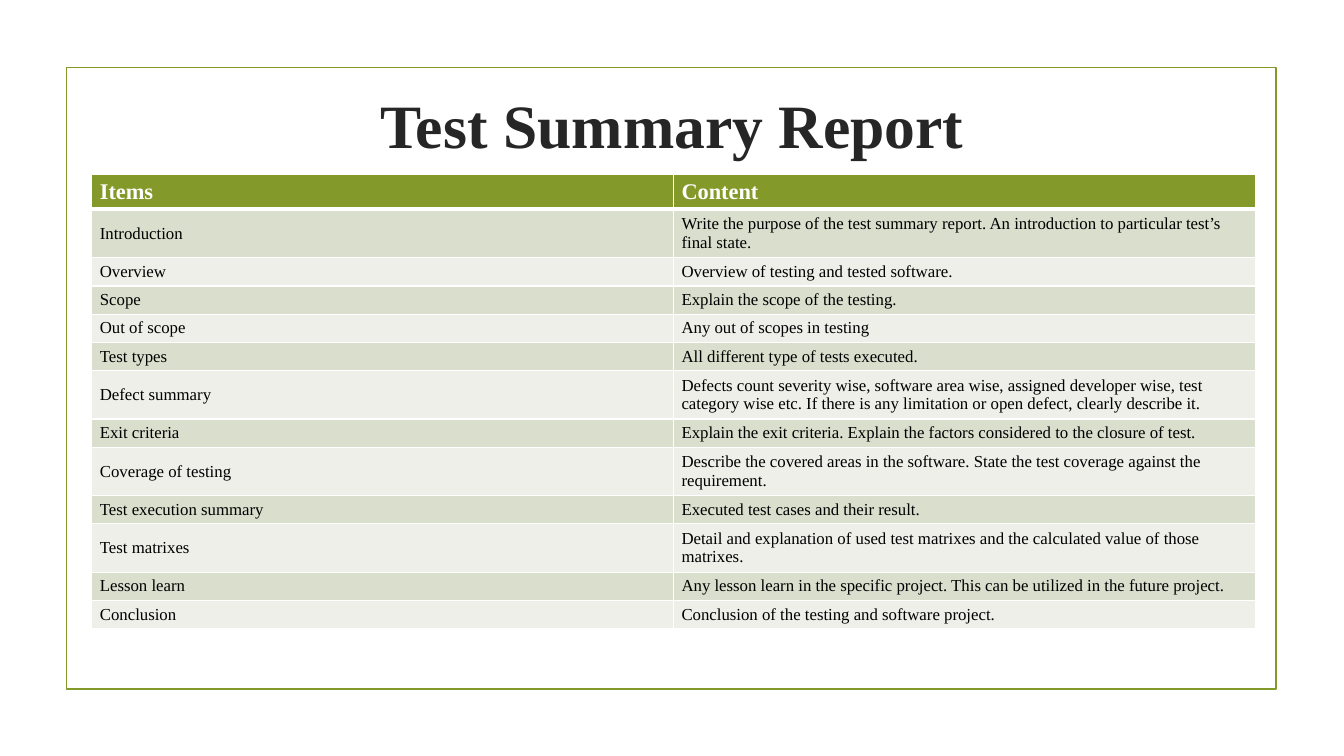
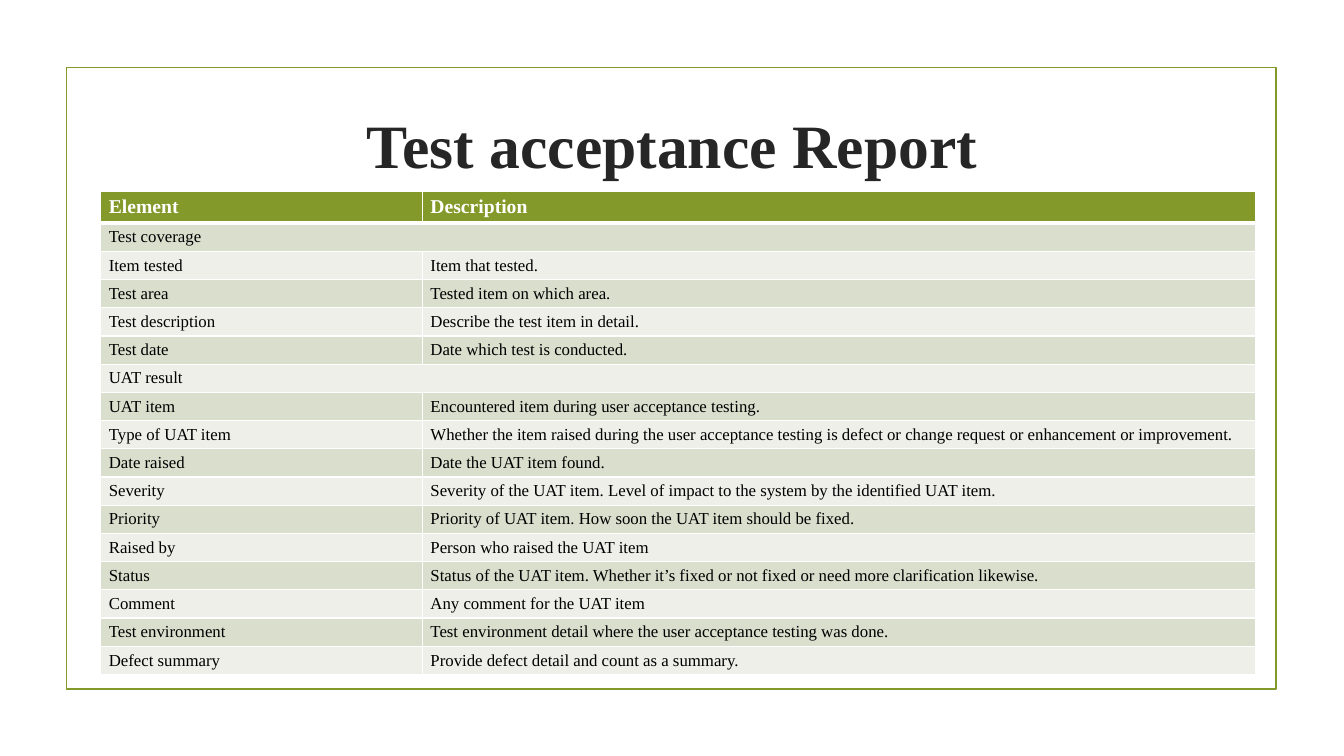
import pptx
import pptx.dml.color
import pptx.enum.shapes
import pptx.enum.text
import pptx.oxml
import pptx.oxml.ns
import pptx.util

HUES = {
    "green": "83992A",
    "ink": "262626",
    "black": "000000",
    "white": "FFFFFF",
    "dark": "D9DECD",
    "pale": "EDEFE8",
}


def hue(name):
    return pptx.dml.color.RGBColor.from_string(HUES[name])


class Deck:
    """Style and current slide; lengths are percents of the slide size."""
    font = "Times New Roman"
    row = 3.6

    def __init__(self):
        self.prs = pptx.Presentation()
        self.prs.slide_width = pptx.util.Inches(13.33)
        self.prs.slide_height = pptx.util.Inches(7.5)

    def across(self, share):
        return round(self.prs.slide_width * share / 100)

    def down(self, share):
        return round(self.prs.slide_height * share / 100)

    def place(self, left, top, width, height):
        return (self.across(left), self.down(top),
                self.across(width), self.down(height))

    def page(self):
        self.slide = self.prs.slides.add_slide(self.prs.slide_layouts[6])
        self.frame()

    def frame(self):
        box = self.slide.shapes.add_shape(
            pptx.enum.shapes.MSO_SHAPE.RECTANGLE,
            *self.place(4.95, 8.93, 90, 82.27))
        box.shadow.inherit = False
        box.fill.background()
        box.line.color.rgb = hue("green")
        box.line.width = pptx.util.Pt(1.25)

    def label(self, holder, text, size, color, bold):
        para = holder.text_frame.paragraphs[0]
        para.text = text
        for run in para.runs:
            run.font.name = self.font
            run.font.size = pptx.util.Pt(size)
            run.font.bold = bold
            run.font.color.rgb = hue(color)
        return para

    def title(self, text, top):
        box = self.slide.shapes.add_textbox(
            *self.place(10.65, top, 78.75, 19.07))
        box.text_frame.word_wrap = True
        box.text_frame.vertical_anchor = pptx.enum.text.MSO_ANCHOR.MIDDLE
        para = self.label(box, text, 44, "ink", True)
        para.alignment = pptx.enum.text.PP_ALIGN.CENTER

    def edges(self, cell, above, below):
        props = cell._tc.get_or_add_tcPr()
        for side, width in zip("LRTB", (1, 1, above, below)):
            props.append(pptx.oxml.parse_xml(
                f'<a:ln{side} {pptx.oxml.ns.nsdecls("a")} '
                f'w="{pptx.util.Pt(width)}"><a:solidFill>'
                f'<a:srgbClr val="{HUES["white"]}"/>'
                f'</a:solidFill></a:ln{side}>'))

    def cell(self, cell, text, line, size):
        head = line == 0
        self.edges(cell, 3 if line == 1 else 1, 3 if head else 1)
        cell.fill.solid()
        cell.fill.fore_color.rgb = hue(
            "green" if head else "dark" if line % 2 else "pale")
        cell.margin_left = cell.margin_right = pptx.util.Inches(0.08)
        cell.margin_top = cell.margin_bottom = pptx.util.Inches(0.04)
        cell.vertical_anchor = pptx.enum.text.MSO_ANCHOR.MIDDLE
        self.label(cell, text, size if head else 12,
                   "white" if head else "black", head)

    def table(self, left, top, widths, rows, size, head):
        """Rows with one text span the full width; long rows grow."""
        high = head + self.row * (len(rows) - 1)
        grid = self.slide.shapes.add_table(
            len(rows), len(widths),
            *self.place(left, top, sum(widths), high)).table
        grid.horz_banding = False
        for col, width in zip(grid.columns, widths):
            col.width = self.across(width)
        for line, texts in enumerate(rows):
            grid.rows[line].height = self.down(self.row if line else head)
            for col, text in enumerate(texts):
                self.cell(grid.cell(line, col), text, line, size)
            if len(texts) < len(widths):
                last = grid.cell(line, len(widths) - 1)
                grid.cell(line, 0).merge(last)


deck = Deck()

# Test summary
SUMS = [
    ("Items", "Content"),
    ("Introduction", "Write the purpose of the test summary report. "
     "An introduction to particular test’s final state."),
    ("Overview", "Overview of testing and tested software."),
    ("Scope", "Explain the scope of the testing."),
    ("Out of scope", "Any out of scopes in testing"),
    ("Test types", "All different type of tests executed."),
    ("Defect summary", "Defects count severity wise, software area wise, "
     "assigned developer wise, test category wise etc. If there is any "
     "limitation or open defect, clearly describe it."),
    ("Exit criteria", "Explain the exit criteria. Explain the factors "
     "considered to the closure of test."),
    ("Coverage of testing", "Describe the covered areas in the software. "
     "State the test coverage against the requirement."),
    ("Test execution summary", "Executed test cases and their result."),
    ("Test matrixes", "Detail and explanation of used test matrixes and "
     "the calculated value of those matrixes."),
    ("Lesson learn", "Any lesson learn in the specific project. "
     "This can be utilized in the future project."),
    ("Conclusion", "Conclusion of the testing and software project."),
]
deck.page()
deck.title("Test Summary Report", 6.8)
deck.table(6.83, 23.07, (43.28, 43.28), SUMS, 16, 4.3)

# Test acceptance
CHECKS = [
    ("Element", "Description"),
    ("Test coverage",),
    ("Item tested", "Item that tested."),
    ("Test area", "Tested item on which area."),
    ("Test description", "Describe the test item in detail."),
    ("Test date", "Date which test is conducted."),
    ("UAT result",),
    ("UAT item", "Encountered item during user acceptance testing."),
    ("Type of UAT item", "Whether the item raised during the user acceptance "
     "testing is defect or change request or enhancement or improvement."),
    ("Date raised", "Date the UAT item found."),
    ("Severity", "Severity of the UAT item. Level of impact to the system "
     "by the identified UAT item."),
    ("Priority", "Priority of UAT item. How soon the UAT item should "
     "be fixed."),
    ("Raised by", "Person who raised the UAT item"),
    ("Status", "Status of the UAT item. Whether it’s fixed or not fixed "
     "or need more clarification likewise."),
    ("Comment", "Any comment for the UAT item"),
    ("Test environment", "Test environment detail where the user acceptance "
     "testing was done."),
    ("Defect summary", "Provide defect detail and count as a summary."),
]
deck.page()
deck.title("Test acceptance Report", 9.47)
deck.table(7.5, 25.33, (23.93, 61.97), CHECKS, 14, 3.9)

deck.prs.save("out.pptx")
